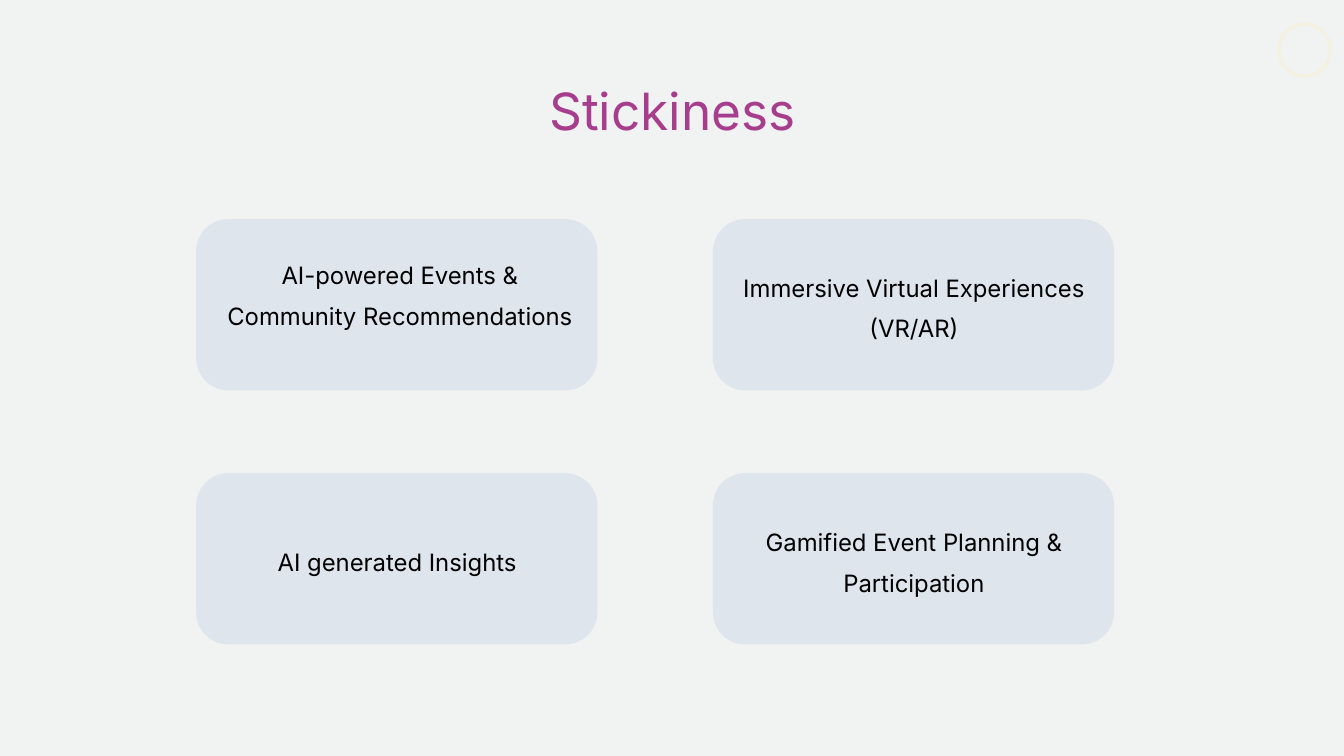
from lxml import etree
from pptx import Presentation
from pptx.dml.color import RGBColor
from pptx.enum import shapes, text
from pptx.oxml.ns import qn
from pptx.util import Inches, Pt

FONT = "Inter"
CARD_LEFTS = (2.92, 10.61)
CARD_TOPS = (3.26, 7.04)
CARD_WIDTH, CARD_HEIGHT = 5.97, 2.55
CORNER_RADIUS = 0.48

FEATURES = [
    ("AI-powered Events & Community Recommendations", (3.31, 3.71, 5.28, 1.74)),
    ("Immersive Virtual Experiences\n(VR/AR)", (10.91, 3.89, 5.38, 1.15)),
    ("AI generated Insights", (3.22, 7.97, 5.38, 0.55)),
    ("Gamified Event Planning &\nParticipation", (10.91, 7.68, 5.38, 1.15)),
]


def color(hex_value):
    """Return the colour for a hex string."""
    return RGBColor.from_string(hex_value)


def write(holder, words, *, size, spacing, fill="000000"):
    """Fill a holder with centred, top-anchored paragraphs, one per line."""
    frame = holder.text_frame
    frame.text = words
    frame.word_wrap = True
    frame.auto_size = text.MSO_AUTO_SIZE.NONE
    frame.vertical_anchor = text.MSO_ANCHOR.TOP
    frame.margin_left = frame.margin_right = 0
    frame.margin_top = frame.margin_bottom = 0
    for paragraph in frame.paragraphs:
        paragraph.alignment = text.PP_ALIGN.CENTER
        paragraph.line_spacing = Pt(spacing)
        paragraph.space_before = Pt(0)
        paragraph.font.name = FONT
        paragraph.font.size = Pt(size)
        paragraph.font.color.rgb = color(fill)


def add_title(slide, words):
    """Place and format the slide title."""
    title = slide.shapes.title
    title.left, title.top = Inches(1.61), Inches(1.02)
    title.width, title.height = Inches(16.79), Inches(1.01)
    write(title, words, size=55, spacing=77, fill="A63D8D")


def add_ring(slide):
    """Draw the pale ring in the top right corner."""
    ring = slide.shapes.add_shape(
        shapes.MSO_SHAPE.OVAL, Inches(19.03), Inches(0.36), Inches(0.77), Inches(0.77)
    )
    ring.shadow.inherit = False
    ring.fill.background()
    ring.line.color.rgb = color("F5F1E1")
    ring.line.width = Pt(3.75)


def add_card(slide, left, top):
    """Draw one translucent rounded card."""
    card = slide.shapes.add_shape(
        shapes.MSO_SHAPE.ROUNDED_RECTANGLE,
        Inches(left), Inches(top), Inches(CARD_WIDTH), Inches(CARD_HEIGHT),
    )
    card.adjustments[0] = CORNER_RADIUS / CARD_HEIGHT
    card.shadow.inherit = False
    card.line.fill.background()
    card.fill.solid()
    card.fill.fore_color.rgb = color("D7E0EB")
    tint = card.fill._xPr.find(qn("a:solidFill")).find(qn("a:srgbClr"))
    etree.SubElement(tint, qn("a:alpha"), val="70000")


def add_feature(slide, words, area):
    """Add the label of one card."""
    label = slide.shapes.add_textbox(*map(Inches, area))
    write(label, words, size=25.6, spacing=43.3)


def main():
    """Build and save the slide."""
    deck = Presentation()
    deck.slide_width, deck.slide_height = Inches(20), Inches(11.25)
    slide = deck.slides.add_slide(deck.slide_layouts[5])
    slide.background.fill.solid()
    slide.background.fill.fore_color.rgb = color("F1F2F2")

    add_ring(slide)
    for top in CARD_TOPS:
        for left in CARD_LEFTS:
            add_card(slide, left, top)
    add_title(slide, "Stickiness")
    for words, area in FEATURES:
        add_feature(slide, words, area)

    deck.save("out.pptx")


if __name__ == "__main__":
    main()
